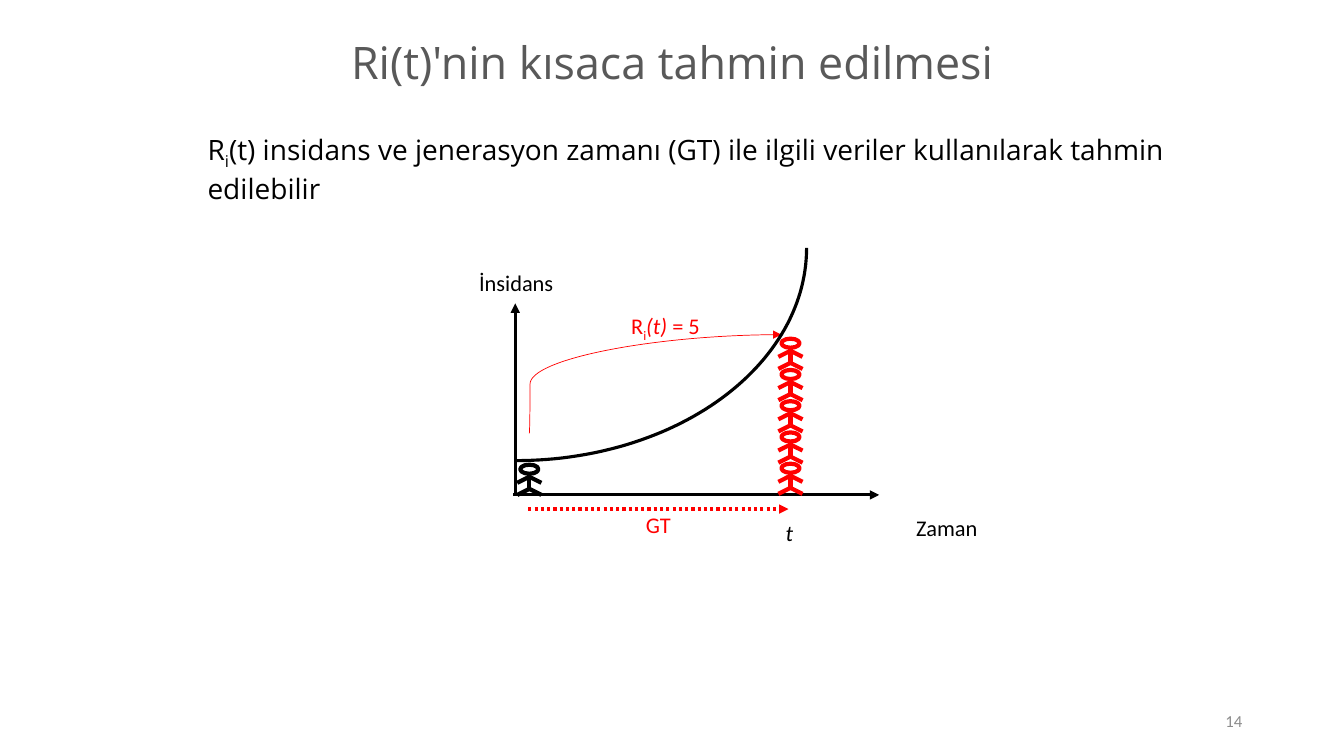
import math
from dataclasses import dataclass

from lxml import etree
from pptx import Presentation
from pptx import util as u
from pptx.dml.color import RGBColor
from pptx.enum import dml, shapes, text
from pptx.oxml import ns

BLACK = RGBColor(0x00, 0x00, 0x00)
RED = RGBColor(0xFF, 0x00, 0x00)
TITLE_GREY = RGBColor(0x59, 0x59, 0x59)
NUMBER_GREY = RGBColor(0x8C, 0x8C, 0x8C)
LEFT, CENTER, RIGHT = text.PP_ALIGN.LEFT, text.PP_ALIGN.CENTER, text.PP_ALIGN.RIGHT


@dataclass(frozen=True)
class Span:
    words: str
    subscript: bool = False
    italic: bool = False


@dataclass(frozen=True)
class Label:
    spans: tuple[Span, ...]
    left: float
    top: float
    width: float
    color: RGBColor = BLACK
    align: text.PP_ALIGN = CENTER
    indent: float = 0.1


@dataclass(frozen=True)
class Person:
    center: float
    top: float
    color: RGBColor


@dataclass(frozen=True)
class Arrow:
    start: tuple[float, float]
    end: tuple[float, float]
    color: RGBColor = BLACK
    dotted: bool = False


LABELS = (
    Label((Span("İnsidans"),), 4.47, 2.62, 1.3),
    Label((Span("R"), Span("i", subscript=True), Span("(t)", italic=True), Span(" = 5")),
          5.61, 3.05, 1.64, RED, LEFT, indent=0.65),
    Label((Span("GT"),), 5.71, 5.02, 1.64, RED),
    Label((Span("t", italic=True),), 7.18, 5.1, 1.3),
    Label((Span("Zaman"),), 8.74, 5.05, 1.3),
)
ARROWS = (
    Arrow((5.11, 4.89), (5.11, 3.01)),
    Arrow((5.09, 4.91), (8.72, 4.91)),
    Arrow((5.24, 5.05), (7.82, 5.05), RED, dotted=True),
)
INFECTED_COUNT = 5
PEOPLE = (Person(5.25, 4.61, BLACK),
          *(Person(7.84, 4.6 - 0.31 * step, RED) for step in range(INFECTED_COUNT)))

# Limbs of a person, measured from the middle of the top of the head
LIMBS = (
    ((0, 0.09), (0, 0.24)),
    ((0, 0.24), (-0.12, 0.3)),
    ((0, 0.24), (0.12, 0.3)),
    ((0, 0.12), (-0.12, 0.18)),
    ((0, 0.12), (0.12, 0.18)),
)


def add_text(page, spans: tuple[Span, ...], left: float, top: float, width: float,
             height: float, *, size: float = 16, font: str = "Calibri",
             color: RGBColor = BLACK, align: text.PP_ALIGN = LEFT,
             anchor: text.MSO_ANCHOR = text.MSO_ANCHOR.TOP, indent: float = 0.1):
    box = page.shapes.add_textbox(*map(u.Inches, (left, top, width, height)))
    frame = box.text_frame
    frame.word_wrap = True
    frame.vertical_anchor = anchor
    frame.margin_left = u.Inches(indent)
    para = frame.paragraphs[0]
    para.alignment = align
    for part in spans:
        span = para.add_run()
        span.text = part.words
        span.font.name = font
        span.font.size = u.Pt(size)
        span.font.color.rgb = color
        span.font.italic = part.italic
        if part.subscript:
            span.font._element.set("baseline", "-25000")
    return box


def add_line(owner, start: tuple[float, float], end: tuple[float, float], *,
             color: RGBColor = BLACK, weight: float = 2.25, arrow: bool = False,
             dotted: bool = False,
             kind: shapes.MSO_CONNECTOR = shapes.MSO_CONNECTOR.STRAIGHT):
    line = owner.shapes.add_connector(kind, *map(u.Inches, (*start, *end)))
    line.line.color.rgb = color
    line.line.width = u.Pt(weight)
    if dotted:
        line.line.dash_style = dml.MSO_LINE.ROUND_DOT
    properties = line._element.spPr
    if arrow:
        outline = properties.find(ns.qn("a:ln"))
        etree.SubElement(outline, ns.qn("a:tailEnd"), type="triangle")
    etree.SubElement(properties, ns.qn("a:effectLst"))
    return line


def add_person(page, person: Person) -> None:
    group = page.shapes.add_group_shape()
    head = group.shapes.add_shape(
        shapes.MSO_SHAPE.OVAL,
        *map(u.Inches, (person.center - 0.09, person.top, 0.18, 0.09)))
    head.shadow.inherit = False
    head.fill.background()
    head.line.color.rgb = person.color
    head.line.width = u.Pt(3)
    for limb in LIMBS:
        start, end = ((person.center + x, person.top + y) for x, y in limb)
        add_line(group, start, end, color=person.color, weight=3)


def add_transmission_arrow(page) -> None:
    """Curved arrow from the first case to the cases it caused."""
    arrow = add_line(page, (5.25, 4.3), (7.75, 3.32), color=RED, weight=0.5,
                     arrow=True, kind=shapes.MSO_CONNECTOR.CURVE)
    geometry = arrow._element.spPr.find(ns.qn("a:prstGeom"))
    guides = geometry.find(ns.qn("a:avLst"))
    if guides is None:
        guides = etree.SubElement(geometry, ns.qn("a:avLst"))
    etree.SubElement(guides, ns.qn("a:gd"), name="adj1", fmla="val 300")


def add_incidence_curve(page, steps: int = 60) -> None:
    """Quarter of an ellipse rising from the incidence axis."""
    angles = [math.pi / 2 * step / steps for step in range(steps + 1)]
    points = [(u.Inches(5.12 + 2.88 * math.sin(angle)),
               u.Inches(2.46 + 2.11 * math.cos(angle))) for angle in angles]
    builder = page.shapes.build_freeform(*points[0])
    builder.add_line_segments(points[1:], close=False)
    curve = builder.convert_to_shape()
    curve.shadow.inherit = False
    curve.fill.background()
    curve.line.color.rgb = BLACK
    curve.line.width = u.Pt(2.25)


def main() -> None:
    deck = Presentation()
    deck.slide_width, deck.slide_height = u.Inches(13.33), u.Inches(7.5)
    page = deck.slides.add_slide(deck.slide_layouts[6])

    add_text(page, (Span("Ri(t)'nin kısaca tahmin edilmesi"),), 2.26, 0.3, 8.82, 0.64,
             size=32, font="Open Sans", color=TITLE_GREY, align=CENTER)
    add_text(page, (Span("14"),), 9.42, 6.95, 3, 0.4, size=12, color=NUMBER_GREY,
             align=RIGHT, anchor=text.MSO_ANCHOR.MIDDLE)
    add_text(page, (Span("R"), Span("i", subscript=True),
                    Span("(t) insidans ve jenerasyon zamanı (GT) ile ilgili veriler "
                         "kullanılarak tahmin edilebilir")),
             1.96, 1.27, 10.08, 0.94, size=20, font="Open Sans")

    for arrow in ARROWS:
        add_line(page, arrow.start, arrow.end, color=arrow.color, arrow=True,
                 dotted=arrow.dotted)
    for person in PEOPLE:
        add_person(page, person)
    for label in LABELS:
        add_text(page, label.spans, label.left, label.top, label.width, 0.37,
                 color=label.color, align=label.align, indent=label.indent)
    add_transmission_arrow(page)
    add_incidence_curve(page)

    deck.save("out.pptx")


if __name__ == "__main__":
    main()
